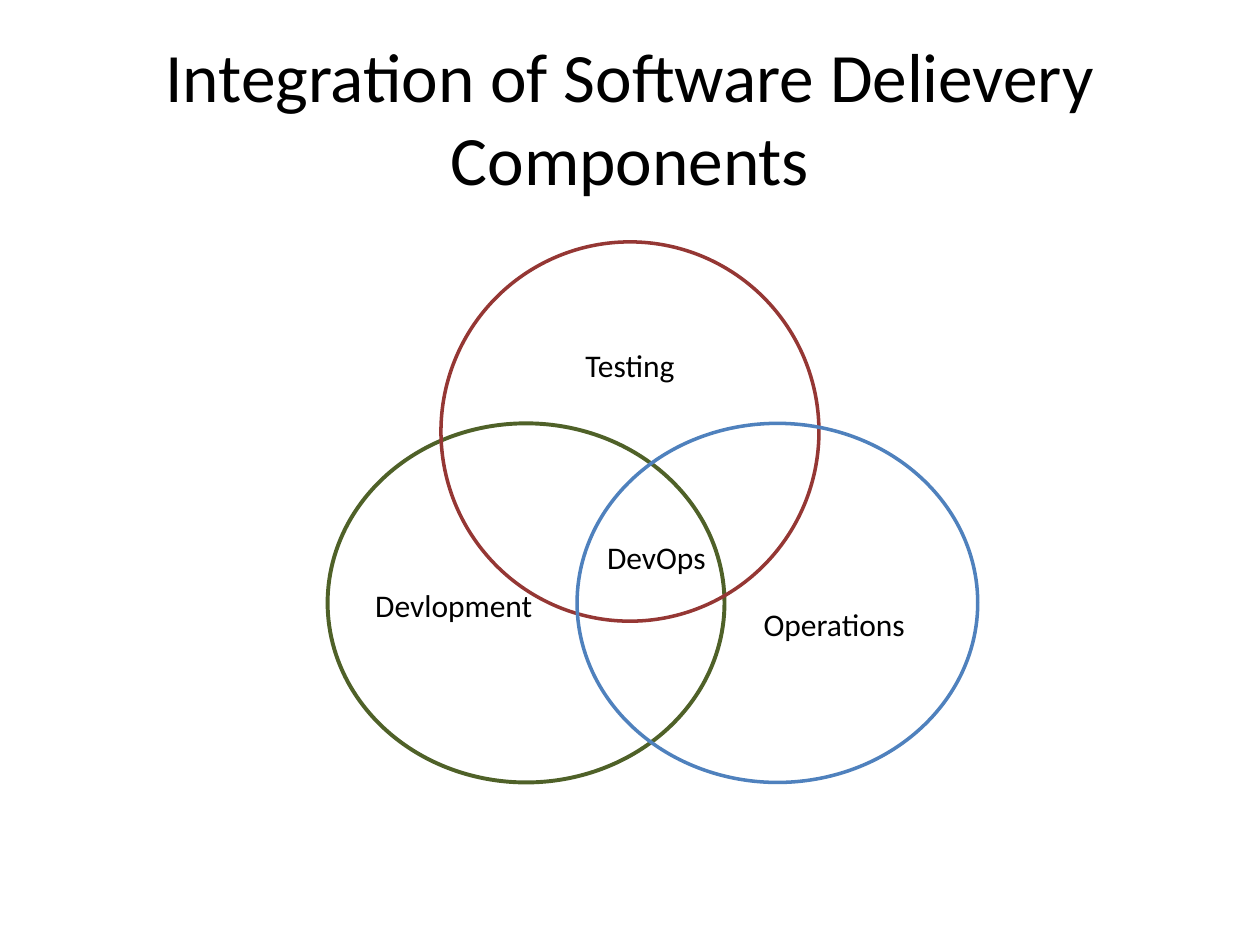
import pptx
import pptx.util
import pptx.dml.color
import pptx.enum.shapes
import pptx.enum.text

Inches = pptx.util.Inches
ALIGN = pptx.enum.text.PP_ALIGN

COLORS = {
    "text": "000000",
    "development": "4F6128",
    "testing": "953734",
    "operations": "4F81BD",
}
TITLE = "Integration of Software Delievery Components"

# color key, (left, top, width, height), line width
CIRCLES = [
    ("development", (2.6, 3.36, 3.15, 2.85), 2.25),
    ("testing", (3.5, 1.92, 3, 3.01), 2),
    ("operations", (4.58, 3.36, 3.18, 2.85), 2),
]
# text, (left, top, width), alignment
LABEL_HEIGHT = 0.4
LABELS = [
    ("Testing", (4.4, 2.7, 1.2), ALIGN.CENTER),
    ("Operations", (5.88, 4.75, 1.4), ALIGN.RIGHT),
    ("DevOps", (4.72, 4.22, 1.03), ALIGN.LEFT),
    ("Devlopment", (2.88, 4.6, 1.7), ALIGN.LEFT),
]


def rgb(key):
    return pptx.dml.color.RGBColor.from_string(COLORS[key])


def add_text(slide, text, box, size=18, align=ALIGN.LEFT):
    frame = slide.shapes.add_textbox(*map(Inches, box)).text_frame
    frame.word_wrap = True
    frame.vertical_anchor = pptx.enum.text.MSO_ANCHOR.MIDDLE
    paragraph = frame.paragraphs[0]
    paragraph.text = text
    paragraph.alignment = align
    font = paragraph.runs[0].font
    font.name = "Calibri"
    font.size = pptx.util.Pt(size)
    font.color.rgb = rgb("text")


def add_circle(slide, color, box, line_width):
    circle = slide.shapes.add_shape(
        pptx.enum.shapes.MSO_SHAPE.OVAL, *map(Inches, box))
    circle.shadow.inherit = False
    circle.fill.background()
    circle.line.color.rgb = rgb(color)
    circle.line.width = pptx.util.Pt(line_width)


def main():
    deck = pptx.Presentation()
    deck.slide_width, deck.slide_height = Inches(10), Inches(7.5)
    slide = deck.slides.add_slide(deck.slide_layouts[6])

    add_text(slide, TITLE, (0.5, 0.3, 9, 1.25), size=39.6, align=ALIGN.CENTER)
    for color, box, line_width in CIRCLES:
        add_circle(slide, color, box, line_width)
    for text, place, align in LABELS:
        add_text(slide, text, (*place, LABEL_HEIGHT), align=align)

    deck.save("out.pptx")


if __name__ == "__main__":
    main()
